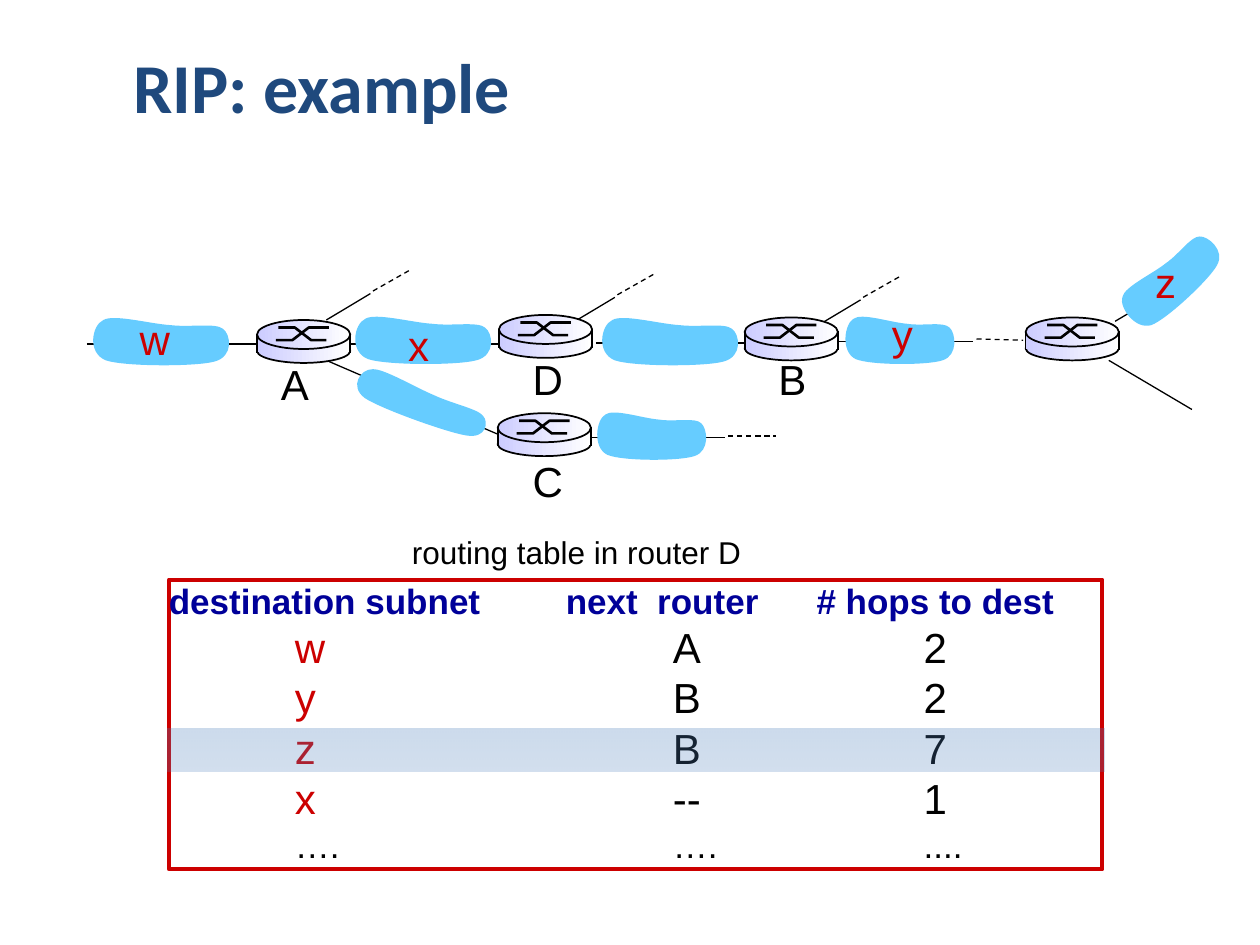
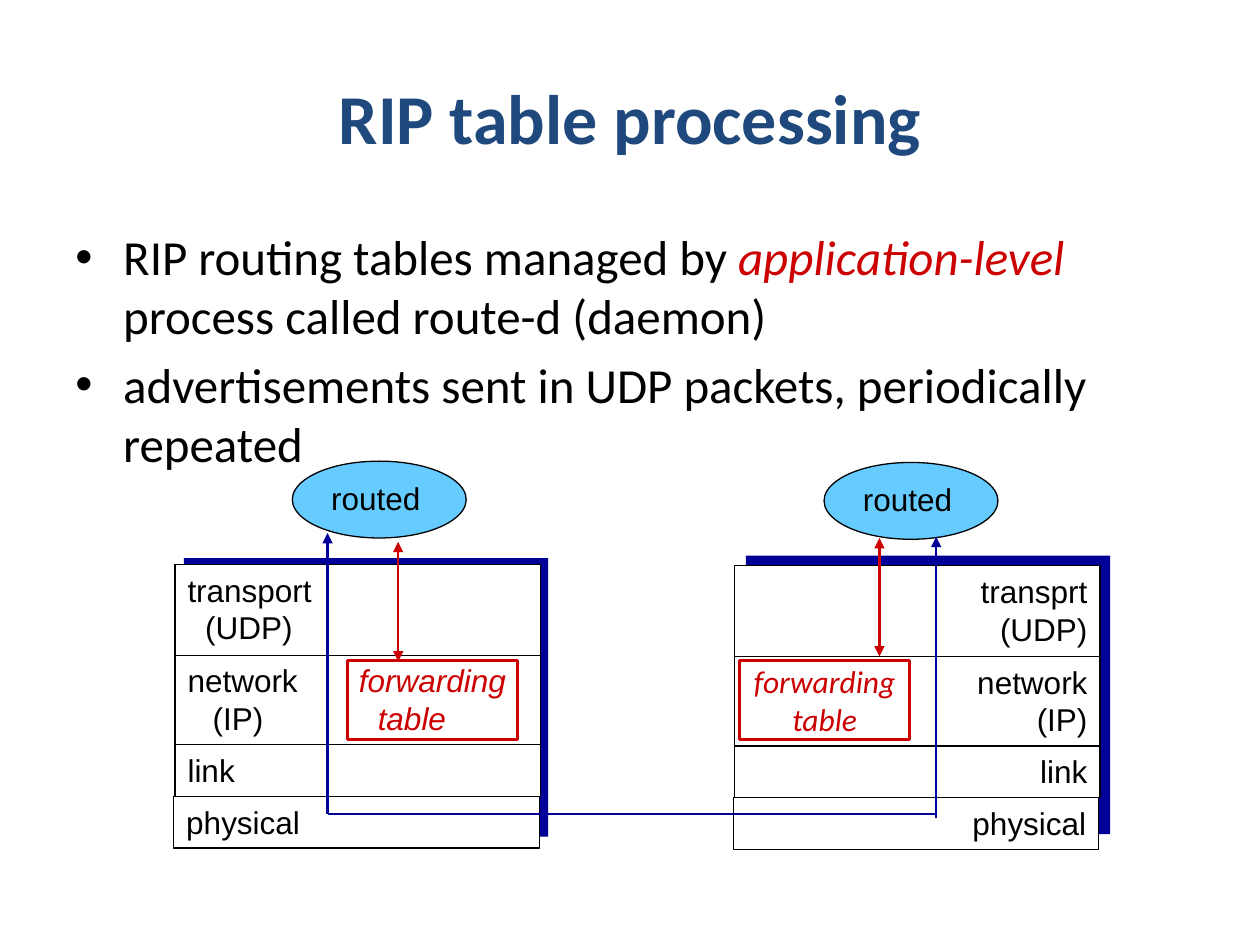
from dataclasses import dataclass
from itertools import accumulate

from lxml import etree
from pptx import Presentation
from pptx import util as u
from pptx.dml.color import RGBColor
from pptx.enum import dml, shapes, text
from pptx.oxml.ns import qn

EMU_PER_PX = 9144
BLACK = RGBColor(0x00, 0x00, 0x00)
WHITE = RGBColor(0xFF, 0xFF, 0xFF)
RED = RGBColor(0xCC, 0x00, 0x00)
NAVY = RGBColor(0x00, 0x00, 0x99)
SKY = RGBColor(0x66, 0xCC, 0xFF)
LILAC = RGBColor(0xCC, 0xCC, 0xFF)
TITLE_BLUE = RGBColor(0x1F, 0x49, 0x7D)
BAND_BLUE = RGBColor(0x4F, 0x81, 0xBD)
RECT = shapes.MSO_SHAPE.RECTANGLE
OVAL = shapes.MSO_SHAPE.OVAL
LEFT, CENTER, RIGHT = text.PP_ALIGN.LEFT, text.PP_ALIGN.CENTER, text.PP_ALIGN.RIGHT
TOP, MIDDLE = text.MSO_ANCHOR.TOP, text.MSO_ANCHOR.MIDDLE

TITLE = dict(name="Calibri", size=u.Pt(40), bold=True)
BODY = dict(name="Calibri", size=u.Pt(28))
HEADER = dict(name="Arial", size=u.Pt(20), bold=True)
LABEL = dict(name="Arial", size=u.Pt(24))
DOTS = dict(name="Arial", size=u.Pt(20))
SMALL = dict(name="Arial", size=u.Pt(18))
STRESSED = SMALL | dict(italic=True)

CLOUD_W, CLOUD_H = 116, 42
CLOUD_POINTS = ((66, 9),
                (50, 8), (21, 0), (13, 5),
                (4, 9), (0, 31), (15, 37),
                (30, 42), (86, 42), (101, 38),
                (117, 34), (114, 16), (108, 12),
                (102, 7), (82, 11), (66, 9))


@dataclass(frozen=True)
class Box:
    x: int
    y: int
    w: int
    h: int


@dataclass(frozen=True)
class Cloud:
    box: Box
    rotation: float = 0


@dataclass(frozen=True)
class Link:
    start: tuple
    end: tuple
    width: float = 0.75
    color: RGBColor = BLACK
    dashed: bool = False
    head: bool = False
    tail: bool = False


@dataclass(frozen=True)
class Run:
    text: str
    font: dict
    color: RGBColor = BLACK


@dataclass(frozen=True)
class Line:
    runs: tuple
    tabs: tuple = ()


@dataclass(frozen=True)
class Host:
    x: int
    y: int
    align: int
    shadow: Box
    layers: tuple
    table: Box
    table_fill: RGBColor
    table_lines: tuple
    oval: Box
    bus: Link
    exchange: Link


def px(v: float) -> u.Emu:
    return u.Emu(round(v * EMU_PER_PX))


def place(b: Box) -> tuple:
    return px(b.x), px(b.y), px(b.w), px(b.h)


def fmt(obj, values: dict) -> None:
    for name, value in values.items():
        setattr(obj, name, value)


def small(words: str, *tabs: int) -> Line:
    return Line((Run(words, SMALL),), tabs)


def write_runs(p, runs: tuple) -> None:
    for run in runs:
        r = p.add_run()
        r.text = run.text
        fmt(r.font, run.font)
        r.font.color.rgb = run.color


def write(tf, lines: tuple, align=LEFT, anchor=TOP) -> None:
    tf.vertical_anchor = anchor
    for i, line in enumerate(lines):
        p = tf.add_paragraph() if i else tf.paragraphs[0]
        p.alignment = align
        if line.tabs:
            stops = etree.SubElement(p._p.get_or_add_pPr(), qn("a:tabLst"))
            for x in line.tabs:
                fields = dict(pos=str(px(x)), algn="l")
                etree.SubElement(stops, qn("a:tab"), fields)
        write_runs(p, line.runs)


def style(sp, fill=None, line=None, width=0.75):
    sp.shadow.inherit = False
    if fill is None:
        sp.fill.background()
    else:
        sp.fill.solid()
        sp.fill.fore_color.rgb = fill
    if line is None:
        sp.line.fill.background()
    else:
        sp.line.color.rgb = line
        sp.line.width = u.Pt(width)
    return sp


def add_box(tree, kind, b: Box, fill=None, line=None, width=0.75):
    return style(tree.add_shape(kind, *place(b)), fill, line, width)


def shade(sp, colors: tuple, angle: int) -> None:
    sp.fill.gradient()
    sp.fill.gradient_angle = angle
    for stop, color in zip(sp.fill.gradient_stops, colors):
        stop.color.rgb = color


def add_text(tree, b: Box, run: Run, align=LEFT, anchor=TOP, wrap=False) -> None:
    tf = tree.add_textbox(*place(b)).text_frame
    tf.word_wrap = wrap
    write(tf, (Line((run,)),), align, anchor)


def add_title(s, b: Box, words: str) -> None:
    add_text(s.shapes, b, Run(words, TITLE, TITLE_BLUE), CENTER, MIDDLE, True)


def add_link(tree, k: Link):
    c = tree.add_connector(shapes.MSO_CONNECTOR.STRAIGHT, *map(px, k.start + k.end))
    c.line.color.rgb = k.color
    c.line.width = u.Pt(k.width)
    if k.dashed:
        c.line.dash_style = dml.MSO_LINE.DASH
    ln = c.line._get_or_add_ln()
    for wanted, tag in ((k.head, "a:headEnd"), (k.tail, "a:tailEnd")):
        if wanted:
            etree.SubElement(ln, qn(tag)).set("type", "triangle")
    etree.SubElement(c._element.spPr, qn("a:effectLst"))
    return c


def add_outline(tree, points: list, close: bool):
    pts = [(px(x), px(y)) for x, y in points]
    fb = tree.build_freeform(*pts[0])
    fb.add_line_segments(pts[1:], close=close)
    return fb.convert_to_shape()


def curve(sp) -> None:
    segments = list(sp._element.iter(qn("a:lnTo")))
    for i in range(0, len(segments), 3):
        bezier = etree.Element(qn("a:cubicBezTo"))
        segments[i].addprevious(bezier)
        for segment in segments[i:i + 3]:
            bezier.append(segment[0])
            segment.getparent().remove(segment)


def add_cloud(s, cloud: Cloud) -> None:
    b = cloud.box
    points = [(b.x + x * b.w / CLOUD_W, b.y + y * b.h / CLOUD_H) for x, y in CLOUD_POINTS]
    sp = style(add_outline(s.shapes, points, True), SKY)
    curve(sp)
    sp.rotation = cloud.rotation


def add_router(s, x: int, y: int):
    g = s.shapes.add_group_shape().shapes
    made = []
    for kind, b, line in ((OVAL, Box(x, y + 15, 74, 19), BLACK),
                          (RECT, Box(x, y + 13, 74, 12), None),
                          (OVAL, Box(x, y, 74, 23), BLACK)):
        sp = add_box(g, kind, b, LILAC, line, 1)
        shade(sp, (LILAC, WHITE), 0)
        made.append(sp)
    for zigzag in (((15, 16), (28, 16), (41, 6), (57, 6)),
                   ((17, 6), (30, 6), (43, 16), (55, 16))):
        points = [(x + dx, y + dy) for dx, dy in zigzag]
        style(add_outline(g, points, False), None, BLACK, 1.5)
    for side in (x, x + 74):
        add_link(g, Link((side, y + 11), (side, y + 26), 1))
    return made[1]


def add_routing_table(s) -> None:
    header = Run("destination subnet\tnext  router\t# hops to dest", HEADER, NAVY)
    lines = [Line((header,), (315, 514))]
    for subnet, router, hops, font, color in (
            ("w", "A", "2", LABEL, RED), ("y", "B", "2", LABEL, RED),
            ("z", "B", "7", LABEL, RED), ("x", "--", "1", LABEL, RED),
            ("….", "….", "....", DOTS, BLACK)):
        runs = (Run(f"\t{subnet}", font, color), Run(f"\t{router}\t{hops}", font))
        lines.append(Line(runs, (100, 400, 599)))
    sp = add_box(s.shapes, RECT, Box(134, 460, 741, 230), None, RED, 2.25)
    fmt(sp.text_frame, dict.fromkeys(
        ("margin_left", "margin_right", "margin_top", "margin_bottom"), 0))
    write(sp.text_frame, lines)


def add_highlight(s) -> None:
    band = add_box(s.shapes, RECT, Box(133, 578, 744, 34), BAND_BLUE)
    shade(band, (BAND_BLUE, BAND_BLUE), 270)
    for clr, alpha in zip(band._element.spPr.iter(qn("a:srgbClr")), ("29000", "25000")):
        etree.SubElement(clr, qn("a:alpha")).set("val", alpha)


def build_example(s) -> None:
    add_title(s, Box(40, 21, 431, 94), "RIP: example")
    add_routing_table(s)
    add_text(s.shapes, Box(317, 418, 281, 40), Run("routing table in router D", SMALL))
    links = [add_link(s.shapes, k) for k in (
        Link((69, 273), (204, 273), 1), Link((278, 273), (412, 273), 1),
        Link((665, 271), (772, 271)), Link((469, 347), (575, 347)),
        Link((473, 272), (609, 272), 1), Link((885, 255), (951, 216)),
        Link((880, 286), (946, 325)), Link((259, 286), (396, 345)),
        Link((775, 269), (812, 270), dashed=True),
        Link((578, 346), (616, 346), dashed=True))]
    for cloud in (Cloud(Box(277, 248, 116, 42)), Cloud(Box(276, 304, 116, 31), 19.7),
                  Cloud(Box(69, 249, 116, 42)), Cloud(Box(473, 249, 116, 42)),
                  Cloud(Box(667, 248, 93, 42)), Cloud(Box(881, 201, 95, 42), 316.8),
                  Cloud(Box(470, 324, 93, 42))):
        add_cloud(s, cloud)
    for words, x, y, w, color in (
            ("w", 101, 244, 44, RED), ("x", 314, 249, 37, RED),
            ("y", 698, 240, 37, RED), ("z", 907, 199, 37, RED),
            ("A", 213, 280, 42, BLACK), ("C", 413, 357, 44, BLACK),
            ("D", 413, 276, 44, BLACK), ("B", 608, 276, 42, BLACK)):
        add_text(s.shapes, Box(x, y, w, 50), Run(words, LABEL, color))
    for x, y in ((648, 259), (453, 257), (259, 254)):
        g = s.shapes.add_group_shape().shapes
        add_link(g, Link((x, y), (x + 35, y - 21)))
        add_link(g, Link((x + 37, y - 23), (x + 67, y - 40), dashed=True))
    add_highlight(s)
    d, b, far, c, a = [add_router(s, x, y) for x, y in (
        (396, 250), (591, 252), (814, 252), (395, 328), (204, 254))]
    links[0].end_connect(a, 1)
    for link, router in zip(links[1:4], (a, b, c)):
        link.begin_connect(router, 3)


def add_host(s, host: Host) -> None:
    heights = (72, 71, 41, 41)
    tops = accumulate(heights[:-1], initial=host.y)
    xs = (host.x, host.x, host.x, host.x - 1)
    for x, y, h, lines in reversed(list(zip(xs, tops, heights, host.layers))):
        sp = add_box(s.shapes, RECT, Box(x, y, 290, h), WHITE, BLACK)
        write(sp.text_frame, lines, host.align)
    g = s.shapes.add_group_shape().shapes
    add_box(g, OVAL, host.oval, SKY, BLACK)
    add_text(g, Box(host.oval.x + 21, host.oval.y + 9, 91, 40), Run("routed", SMALL))
    add_link(s.shapes, host.bus)
    table = add_box(s.shapes, RECT, host.table, host.table_fill, RED, 1.5)
    if host.table_lines:
        table.text_frame.word_wrap = False
        write(table.text_frame, host.table_lines, CENTER, MIDDLE)


def build_processing(s) -> None:
    lower = ((small("link"),), (small("physical"),))
    table_font = STRESSED | dict(name="Calibri")
    hosts = (
        Host(139, 448, LEFT, Box(146, 443, 289, 221),
             ((small("transport"), small("\t(UDP)", 14)),
              (Line((Run("network", SMALL), Run("\tforwarding", STRESSED, RED)), (136,)),
               Line((Run("\t(IP)", SMALL), Run("\ttable", STRESSED, RED)), (20, 151)))) + lower,
             Box(276, 524, 135, 63), None, (),
             Box(232, 366, 138, 61), Link((260, 646), (260, 423), 1.5, NAVY, tail=True),
             Link((316, 430), (316, 525), 1.5, RED, head=True, tail=True)),
        Host(583, 449, RIGHT, Box(592, 441, 289, 221),
             ((small("transprt"), small("(UDP)")),
              (small("network"), small("(IP)"))) + lower,
             Box(587, 524, 135, 63), WHITE,
             tuple(Line((Run(w, table_font, RED),)) for w in ("forwarding", "table")),
             Box(654, 367, 138, 61), Link((743, 649), (743, 426), 1.5, NAVY, tail=True),
             Link((698, 427), (698, 521), 1.5, RED, head=True, tail=True)))
    for host in reversed(hosts):
        add_box(s.shapes, RECT, host.shadow, NAVY)
    add_title(s, Box(50, 30, 900, 125), "RIP table processing")
    tf = s.shapes.add_textbox(*place(Box(50, 175, 900, 495))).text_frame
    tf.word_wrap = True
    bullets = ((Run("RIP routing tables managed by ", BODY),
                Run("application-level", BODY | dict(italic=True), RED),
                Run(" process called route-d (daemon)", BODY)),
               (Run("advertisements sent in UDP packets, periodically repeated", BODY),))
    for i, runs in enumerate(bullets):
        p = tf.add_paragraph() if i else tf.paragraphs[0]
        p.space_before = u.Pt(5.6)
        pPr = p._p.get_or_add_pPr()
        pPr.set("marL", str(px(38)))
        pPr.set("indent", str(px(-38)))
        etree.SubElement(pPr, qn("a:buFont")).set("typeface", "Arial")
        etree.SubElement(pPr, qn("a:buChar")).set("char", "•")
        write_runs(p, runs)
    for host in hosts:
        add_host(s, host)
    for link in (Link((260, 646), (743, 646), 1.5, NAVY), *(h.exchange for h in hosts)):
        add_link(s.shapes, link)


def main() -> None:
    prs = Presentation()
    fmt(prs, dict(slide_width=px(1000), slide_height=px(750)))
    for build in (build_example, build_processing):
        build(prs.slides.add_slide(prs.slide_layouts[6]))
    prs.save("out.pptx")


if __name__ == "__main__":
    main()
